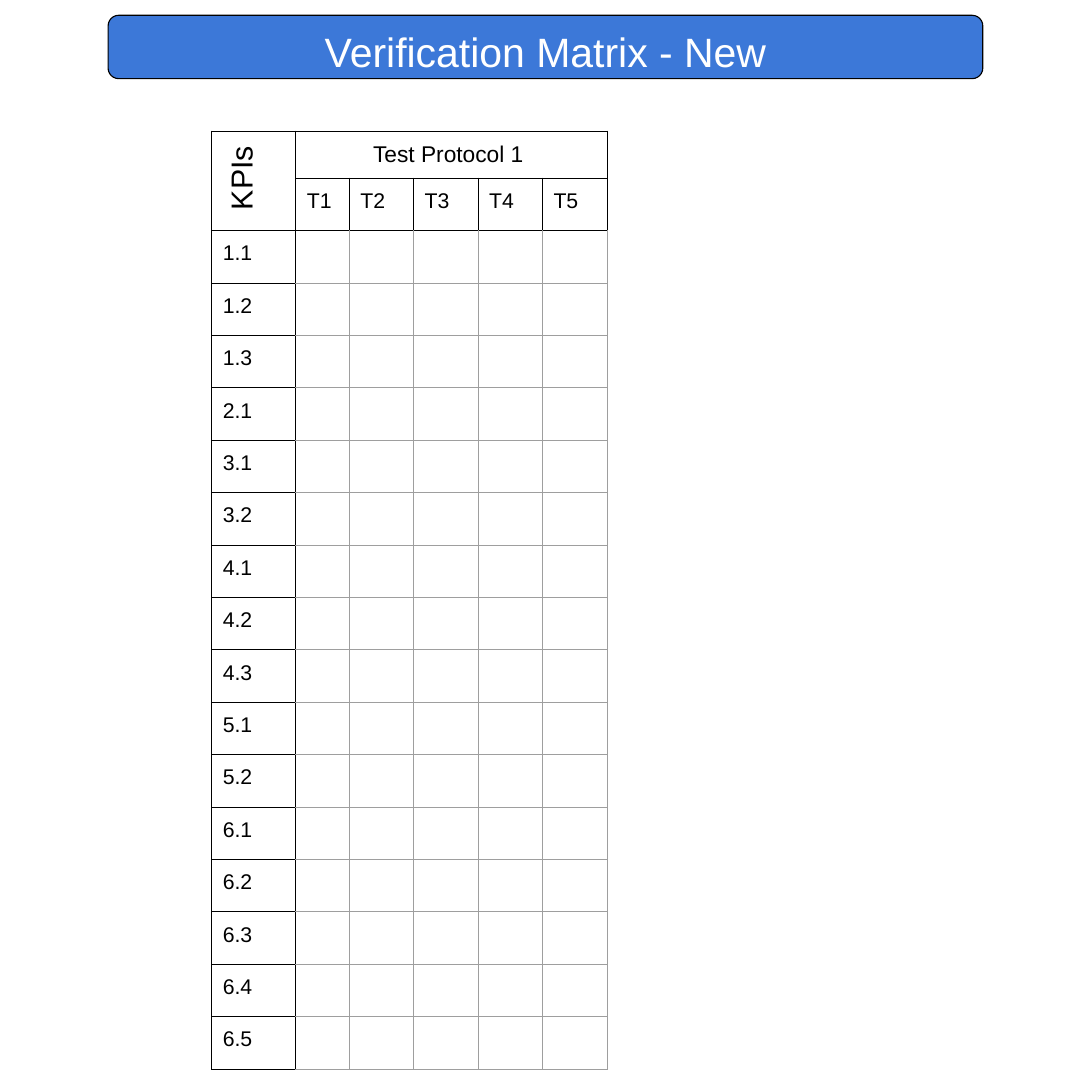
from lxml.etree import SubElement
from pptx import Presentation
from pptx.dml.color import RGBColor
from pptx.enum.shapes import MSO_SHAPE
from pptx.enum.text import MSO_ANCHOR, PP_ALIGN
from pptx.oxml.ns import qn
from pptx.util import Inches, Pt

COLORS = {"blue": "3C78D8", "black": "000000", "grey": "9E9E9E", "white": "FFFFFF"}
TESTS = ["T1", "T2", "T3", "T4", "T5"]
KPIS = ["1.1", "1.2", "1.3", "2.1", "3.1", "3.2", "4.1", "4.2", "4.3",
        "5.1", "5.2", "6.1", "6.2", "6.3", "6.4", "6.5"]
COL_WIDTHS = [0.77, 0.49] + [0.59] * 4
HEADER_HEIGHT, ROW_HEIGHT = 0.43, 0.48
HEADER_ROWS = 2


def color(name):
    return RGBColor.from_string(COLORS[name])


class SlideBuilder:
    font = "Arial"
    line_width = Pt(0.75)

    def __init__(self, slide):
        self.s = slide

    def add_run(self, p, text, size, col="black", align=PP_ALIGN.LEFT):
        p.alignment = align
        r = p.add_run()
        r.text = text
        r.font.name, r.font.size = self.font, Pt(size)
        r.font.color.rgb = color(col)

    def fill_frame(self, tf, text, size, col="black", align=PP_ALIGN.LEFT, inset=0.1):
        tf.margin_left = tf.margin_right = Inches(inset)
        tf.margin_top = tf.margin_bottom = Inches(inset)
        tf.word_wrap = True
        self.add_run(tf.paragraphs[0], text, size, col, align)

    def title_bar(self, text, x, y, w, h):
        sp = self.s.shapes.add_shape(MSO_SHAPE.ROUNDED_RECTANGLE,
                                     Inches(x), Inches(y), Inches(w), Inches(h))
        sp.shadow.inherit = False
        sp.fill.solid()
        sp.fill.fore_color.rgb = color("blue")
        sp.line.color.rgb = color("black")
        sp.line.width = self.line_width
        tf = sp.text_frame
        tf.vertical_anchor = MSO_ANCHOR.MIDDLE
        self.fill_frame(tf, text, 27, "white", PP_ALIGN.CENTER, 0.07)
        tf.paragraphs[0].line_spacing = 1.15

    def rotated_label(self, text, x, y, w, h):
        sp = self.s.shapes.add_textbox(Inches(x), Inches(y), Inches(w), Inches(h))
        sp.rotation = 270
        self.fill_frame(sp.text_frame, text, 20, align=PP_ALIGN.CENTER)

    def cell_text(self, cell, text, size=14, align=PP_ALIGN.LEFT):
        cell.margin_left = cell.margin_right = Inches(0.1)
        cell.margin_top = cell.margin_bottom = Inches(0.1)
        self.add_run(cell.text_frame.paragraphs[0], text, size, align=align)

    def cell_borders(self, cell, **sides):
        """Draw the borders L, R, T and B, each in the colour named."""
        tcPr = cell._tc.get_or_add_tcPr()
        for side, name in sides.items():
            ln = SubElement(tcPr, qn(f"a:ln{side}"), w=str(self.line_width))
            fill = SubElement(ln, qn("a:solidFill"))
            SubElement(fill, qn("a:srgbClr"), val=COLORS[name])

    def matrix(self, x, y):
        n_rows, n_cols = HEADER_ROWS + len(KPIS), len(COL_WIDTHS)
        heights = [HEADER_HEIGHT] + [ROW_HEIGHT] * (n_rows - 1)
        tbl = self.s.shapes.add_table(n_rows, n_cols, Inches(x), Inches(y),
                                      Inches(sum(COL_WIDTHS)), Inches(sum(heights))).table
        tbl.first_row = tbl.horz_banding = False
        for column, width in zip(tbl.columns, COL_WIDTHS):
            column.width = Inches(width)
        for row, height in zip(tbl.rows, heights):
            row.height = Inches(height)

        for i in range(n_rows):
            for j in range(n_cols):
                cell = tbl.cell(i, j)
                edge = "black" if i < HEADER_ROWS or j == 0 else "grey"
                self.cell_borders(cell,
                                  L="black" if j == 1 else edge, R=edge,
                                  T="black" if i == HEADER_ROWS else edge, B=edge)
                cell.fill.background()

        tbl.cell(0, 0).merge(tbl.cell(1, 0))
        tbl.cell(0, 1).merge(tbl.cell(0, n_cols - 1))
        self.cell_text(tbl.cell(0, 1), "Test Protocol 1 ", 15, PP_ALIGN.CENTER)
        for j, test in enumerate(TESTS, 1):
            self.cell_text(tbl.cell(1, j), test)
        for i, kpi in enumerate(KPIS, HEADER_ROWS):
            self.cell_text(tbl.cell(i, 0), kpi)


def main():
    prs = Presentation()
    prs.slide_width = prs.slide_height = Inches(10)
    b = SlideBuilder(prs.slides.add_slide(prs.slide_layouts[6]))
    b.title_bar("Verification Matrix - New", 0.99, 0.14, 8.01, 0.58)
    b.matrix(1.94, 1.2)
    b.rotated_label("KPIs", 1.78, 1.36, 0.85, 0.54)
    prs.save("out.pptx")


if __name__ == "__main__":
    main()
